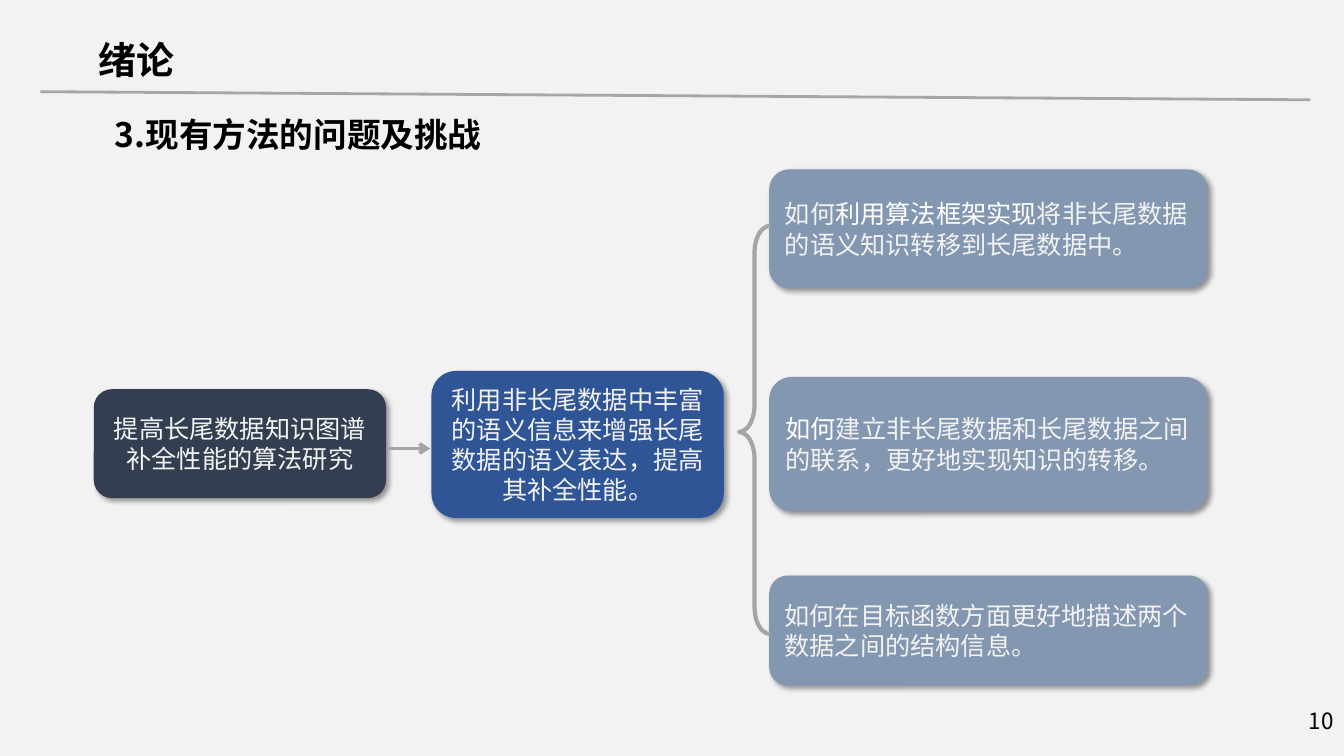
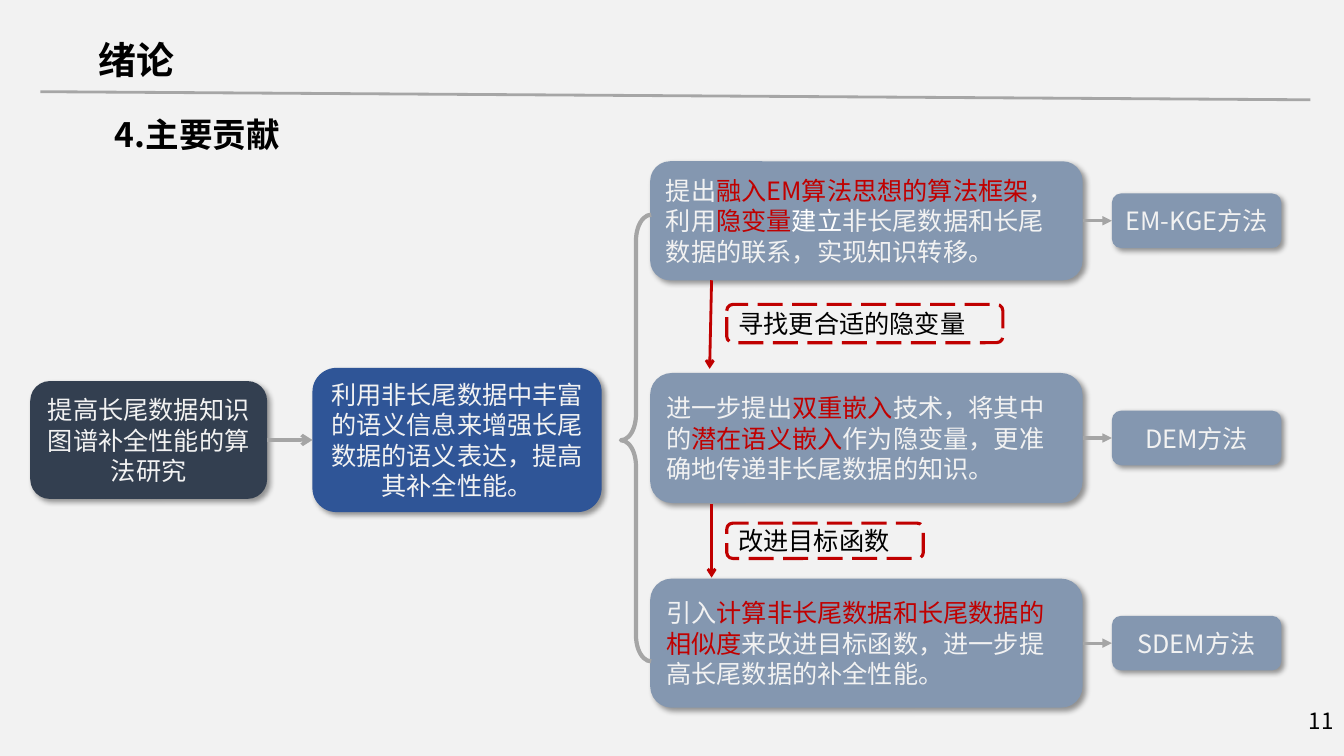
import pptx
import pptx.dml.color
import pptx.enum.dml
import pptx.enum.shapes
import pptx.enum.text
import pptx.oxml
import pptx.oxml.ns
import pptx.util
import lxml.etree

Pt = pptx.util.Pt
qn = pptx.oxml.ns.qn
Sub = lxml.etree.SubElement
Kind = pptx.enum.shapes.MSO_SHAPE
Align = pptx.enum.text.PP_ALIGN
Mid = pptx.enum.text.MSO_ANCHOR.MIDDLE

FACE = "Noto Sans CJK SC"
BLACK, WHITE, PALE, BACK = "000000", "FFFFFF", "F2F2F2", "F2F2F2"
NAVY, BLUE, SLATE, RED = "333F50", "2F5597", "8497B0", "C00000"
GRAY, RULE = "A5A5A5", "A6A6A6"


def paint(fill, tone):
    fill.solid()
    fill.fore_color.rgb = pptx.dml.color.RGBColor.from_string(tone)


def write(shape, runs, size=18, align=Align.LEFT, bold=False, wrap=True):
    frame = shape.text_frame
    frame.word_wrap = wrap
    para = frame.paragraphs[0]
    para.alignment = align
    for text, tone in runs:
        run = para.add_run()
        run.text = text
        run.font.size = Pt(size)
        run.font.bold = bold
        run.font.name = FACE
        paint(run.font.fill, tone)
        Sub(run.font._element, qn("a:ea")).set("typeface", FACE)


# Content: boxes are (x, y, w, h, fill, align, runs)
root = [("提高长尾数据知识图谱补全性能的算法研究", PALE)]
aim = [("利用非长尾数据中丰富的语义信息来增强长尾数据的语义表达，提高其补全性能。", PALE)]
asks = [
    (121, 85, [("如何", PALE), ("利用算法框架实现", WHITE),
               ("将非长尾数据的语义知识转移到长尾数据中。", PALE)]),
    (269.3, 95.8, [("如何", WHITE),
                   ("建立非长尾数据和长尾数据之间的联系，更好地实现知识的转移。", PALE)]),
    (411.1, 78.5, [("如何在目标函数方面更好地描述两个数据之间的结构信息。", PALE)]),
]
gains = [
    (115.2, 85, "EM-KGE方法", [
        ("提出", PALE), ("融入EM算法思想的算法框架", RED), ("，利用", PALE),
        ("隐变量", RED), ("建立", WHITE),
        ("非长尾数据和长尾数据的联系，实现知识转移。", PALE)]),
    (266.4, 92.9, "DEM方法", [
        ("进一步提出", PALE), ("双重嵌入", RED), ("技术，将其中的", PALE),
        ("潜在语义嵌入", RED), ("作为隐变量，更准确地传递非长尾数据的知识。", PALE)]),
    (413.3, 92.2, "SDEM方法", [
        ("引入", PALE), ("计算非长尾数据和长尾数据的相似度", RED),
        ("来改进目标函数，进一步提高长尾数据的补全性能。", PALE)]),
]

boxes1 = [(67, 278, 208.8, 77.8, NAVY, Align.CENTER, root),
          (308.2, 265, 208.8, 105, BLUE, Align.CENTER, aim)]
boxes1 += [(549.4, y, 313.2, h, SLATE, Align.LEFT, runs) for y, h, runs in asks]

boxes2 = [(21.6, 272.2, 169.2, 84.2, NAVY, Align.CENTER, root),
          (223.2, 262.8, 206.6, 103, BLUE, Align.CENTER, aim)]
boxes2 += [(464.4, y, 308.9, h, SLATE, Align.LEFT, runs) for y, h, _, runs in gains]
boxes2 += [(794.2, y + h / 2 - 19.5, 121, 39, SLATE, Align.CENTER, [(name, PALE)])
           for y, h, name, _ in gains]

# Lines are (x1, y1, x2, y2, tone, width, head, joined boxes)
rule = (28.8, 65.5, 936, 71.3, RULE, 2, None, None)
lines1 = [rule, (275.8, 320.4, 307.4, 320.4, GRAY, 2.5, "arrow", None)]
lines2 = [rule,
          (190.8, 314.3, 223.2, 314.3, GRAY, 2.5, "arrow", (0, 1)),
          (508.3, 200.2, 506.9, 263.5, RED, 2, "arrow", None),
          (508.3, 360, 508.3, 412.6, RED, 2, "arrow", None)]
lines2 += [(773.3, y + h / 2, 794.2, y + h / 2, GRAY, 2.25, "triangle", (i + 2, i + 5))
           for i, (y, h, _, _) in enumerate(gains)]

tags = [(519.1, 217.4, 197.3, 27.4, "寻找更合适的隐变量"),
        (519.1, 373.7, 140.4, 25.2, "改进目标函数")]

pages = [
    ("10", "3.现有方法的问题及挑战", boxes1, lines1, (527.8, 161.3, 22.3, 291.6), []),
    ("11", "4.主要贡献", boxes2, lines2, (443.5, 153.4, 21.6, 319), tags),
]

deck = pptx.Presentation()
deck.slide_width, deck.slide_height = Pt(960), Pt(540)
paint(deck.slide_master.background.fill, BACK)

for number, topic, boxes, lines, curl, notes in pages:
    shapes = deck.slides.add_slide(deck.slide_layouts[6]).shapes

    # Title, topic and page number
    for area, text, size, align, bold, wrap in [
        ((63.4, 22.3, 69, 40), "绪论", 27, Align.LEFT, True, False),
        ((74.9, 77.8, 361.4, 36), topic, 24, Align.LEFT, True, True),
        ((743.8, 500.4, 216, 28.8), number, 16, Align.RIGHT, False, True),
    ]:
        label = shapes.add_textbox(*map(Pt, area))
        write(label, [(text, BLACK)], size, align, bold, wrap)
        if text == number:
            label.text_frame.vertical_anchor = Mid

    # Filled boxes with a soft shadow
    cards = []
    for *area, tone, align, runs in boxes:
        card = shapes.add_shape(Kind.ROUNDED_RECTANGLE, *map(Pt, area))
        card.shadow.inherit = False
        paint(card.fill, tone)
        card.line.fill.background()
        glow = card._element.spPr.find(qn("a:effectLst"))
        shade = Sub(glow, qn("a:outerShdw"), blurRad=str(Pt(4)), dist=str(Pt(3)),
                    dir="2700000", algn="tl", rotWithShape="0")
        Sub(Sub(shade, qn("a:srgbClr"), val=BLACK), qn("a:alpha"), val="40000")
        write(card, runs, align=align)
        cards.append(card)

    # Brace
    brace = shapes.add_shape(Kind.LEFT_BRACE, *map(Pt, curl))
    brace.shadow.inherit = False
    brace.adjustments[0], brace.adjustments[1] = 0.855, 0.505
    brace.fill.background()
    paint(brace.line.fill, GRAY)
    brace.line.width = Pt(3)

    # Dashed tags
    for *area, text in notes:
        tag = shapes.add_shape(Kind.ROUNDED_RECTANGLE, *map(Pt, area))
        tag.shadow.inherit = False
        tag.fill.background()
        paint(tag.line.fill, RED)
        tag.line.width = Pt(2.25)
        tag.line.dash_style = pptx.enum.dml.MSO_LINE.LONG_DASH
        write(tag, [(text, BLACK)])

    # Rule and arrows
    for *ends, tone, width, head, pair in lines:
        line = shapes.add_connector(pptx.enum.shapes.MSO_CONNECTOR.STRAIGHT, *map(Pt, ends))
        paint(line.line.fill, tone)
        line.line.width = Pt(width)
        if head:
            Sub(line.line._get_or_add_ln(), qn("a:tailEnd"), type=head)
        Sub(line._element.spPr, qn("a:effectLst"))
        if pair:
            line.begin_connect(cards[pair[0]], 3)
            line.end_connect(cards[pair[1]], 1)

deck.save("out.pptx")
